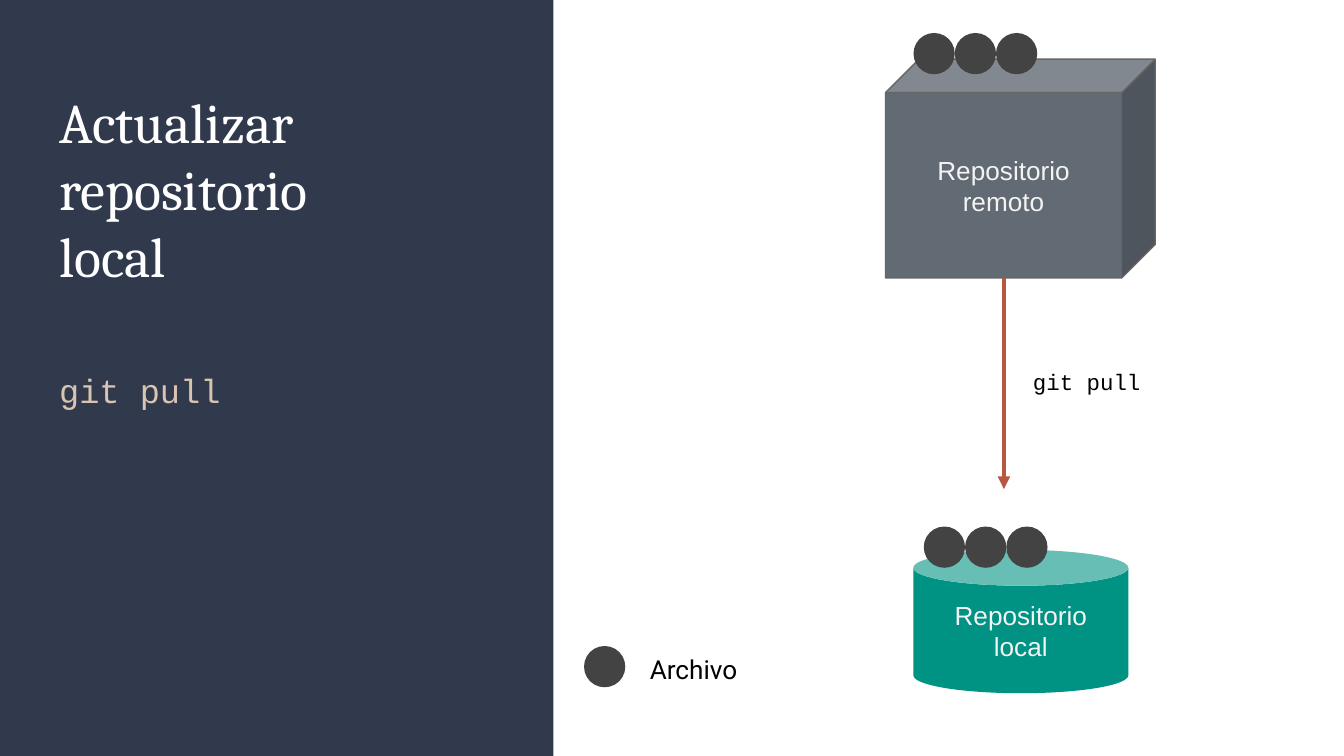
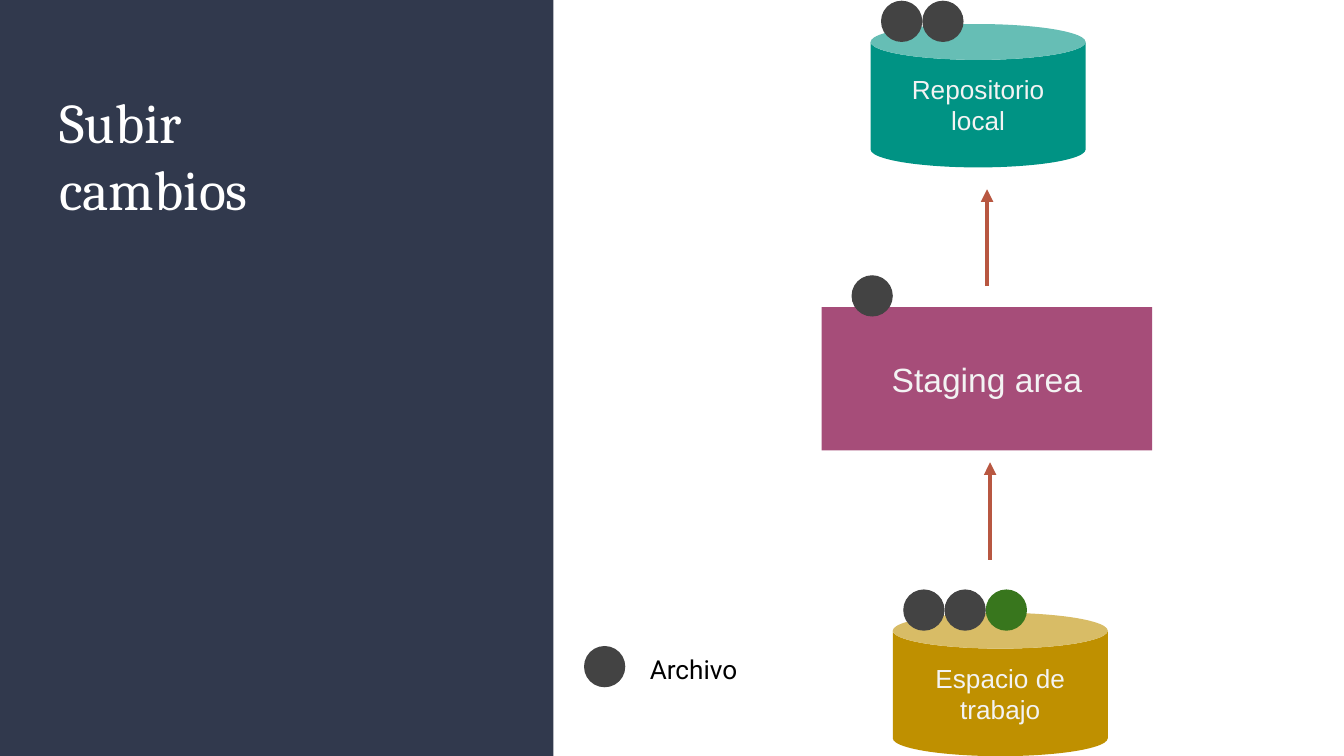
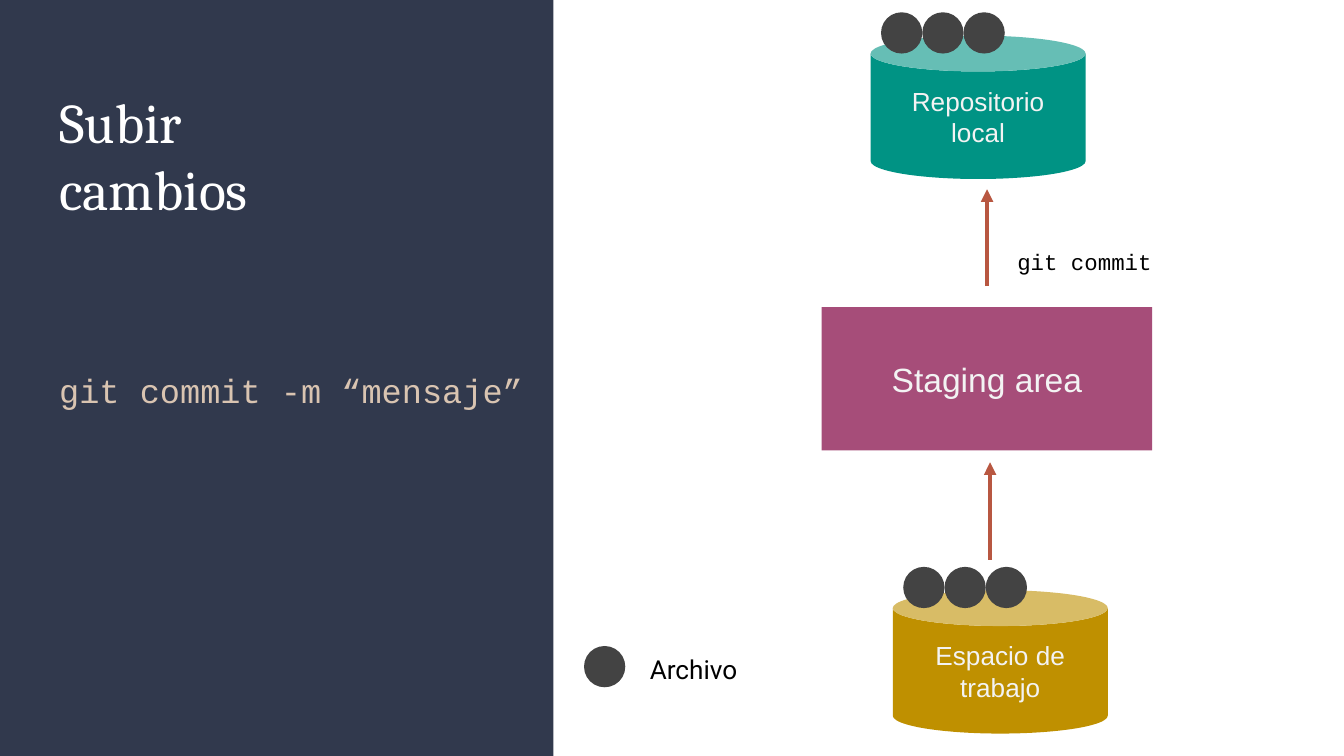
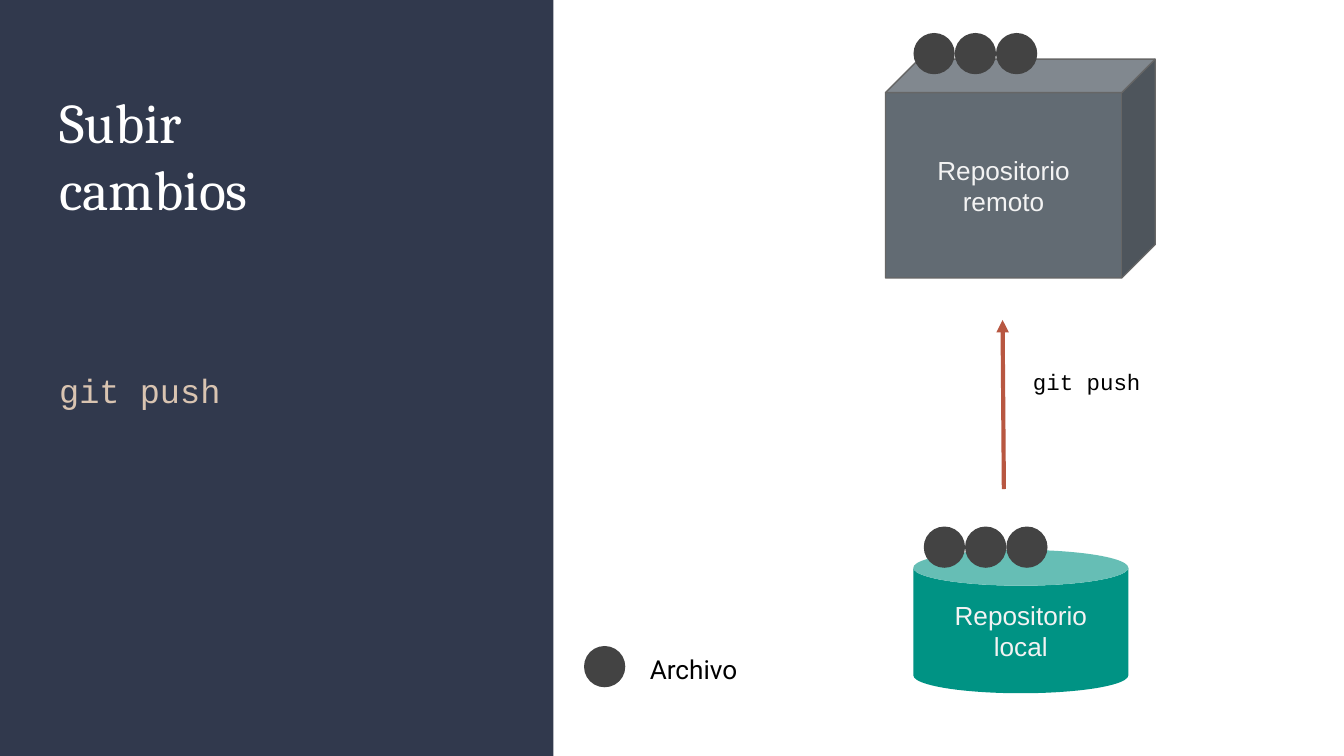
from dataclasses import dataclass
from typing import NamedTuple

from pptx import Presentation
from pptx.dml.color import RGBColor
from pptx.enum.shapes import MSO_CONNECTOR as Link, MSO_SHAPE as Form
from pptx.enum.text import MSO_ANCHOR as Anchor, PP_ALIGN as Align
from pptx.oxml.ns import qn
from pptx.util import Pt
from lxml.etree import SubElement

WHITE = RGBColor(0xFF, 0xFF, 0xFF)
BLACK = RGBColor(0x00, 0x00, 0x00)
NAVY = RGBColor(0x31, 0x39, 0x4D)
SAND = RGBColor(0xD9, 0xC4, 0xB1)
PALE = RGBColor(0xF3, 0xF3, 0xF3)
TEAL = RGBColor(0x00, 0x93, 0x84)
SLATE = RGBColor(0x62, 0x6B, 0x73)
EDGE = RGBColor(0x66, 0x66, 0x66)
GOLD = RGBColor(0xBF, 0x90, 0x00)
PLUM = RGBColor(0xA6, 0x4D, 0x79)
RUST = RGBColor(0xB8, 0x57, 0x41)
GREY = RGBColor(0x43, 0x43, 0x43)
GREEN = RGBColor(0x38, 0x76, 0x1D)

WIDE, HIGH = 720, 405
BAND = 296.5
INSET = 7.2
DOT = 22.1


class Box(NamedTuple):
    left: float
    top: float
    width: float
    height: float


class Style(NamedTuple):
    font: str
    size: float
    color: RGBColor
    after: float = 0
    space: float = 1.0
    anchor: Anchor = Anchor.TOP
    align: Align = Align.LEFT


class Arrow(NamedTuple):
    x1: float
    y1: float
    x2: float
    y2: float


class Note(NamedTuple):
    text: str
    box: Box
    style: Style


@dataclass(frozen=True)
class Kind:
    form: Form
    text: str
    width: float
    height: float
    fill: RGBColor
    dot_x: float
    dot_y: float
    size: float = 14
    bend: float | None = None
    edge: RGBColor | None = None


@dataclass(frozen=True)
class Node:
    kind: Kind
    left: float
    top: float
    dots: tuple[RGBColor, ...] = ()


@dataclass(frozen=True)
class Page:
    title: str
    nodes: tuple[Node, ...]
    arrows: tuple[Arrow, ...]
    notes: tuple[Note, ...] = ()


TITLE = Style("Cambria", 30, WHITE)
ORDER = Style("Courier New", 18, SAND, 16, 1.15)
CODE = Style("Courier New", 12, BLACK, 16, 1.15)
MID = CODE._replace(space=1.0, anchor=Anchor.MIDDLE)
KEY = Style("Roboto", 14, BLACK)

TITLE_BOX = Box(24.6, 39.6, 246, 144)
ORDER_BOX = Box(24.6, 188, 272.5, 44)
SIDE_BOX = Box(546.3, 188, 115.2, 44)
KEY_BOX = Box(341, 342.7, 66.2, 28.8)
KEY_DOT = (312.9, 346.1)

LOCAL = Kind(Form.CAN, "Repositorio local", 115.2, 76.8, TEAL, 5.6, -12.5, bend=0.25)
WORK = Kind(Form.CAN, "Espacio de trabajo", 115.2, 76.8, GOLD, 5.6, -12.5, bend=0.25)
REMOTE = Kind(Form.CUBE, "Repositorio remoto", 144.5, 117.3, SLATE, 15, -14, bend=0.153, edge=EDGE)
STAGE = Kind(Form.RECTANGLE, "Staging area", 177.1, 76.8, PLUM, 16, -17, size=18)

THREE = (GREY,) * 3
REMOTE_NODE = Node(REMOTE, 474.4, 31.7, THREE)
LOCAL_NODE = Node(LOCAL, 489.3, 294.6, THREE)
TO_STAGE = Arrow(530.4, 299.8, 530.4, 247.7)
TO_LOCAL = Arrow(528.8, 153.3, 528.8, 101.4)

PAGES = (
    Page(
        "Actualizar repositorio\nlocal",
        (LOCAL_NODE, REMOTE_NODE),
        (Arrow(537.8, 149, 537.8, 262),),
        (Note("git pull", ORDER_BOX, ORDER), Note("git pull", SIDE_BOX, CODE)),
    ),
    Page(
        "Subir\ncambios",
        (
            Node(WORK, 478.3, 328.3, (GREY, GREY, GREEN)),
            Node(STAGE, 440.2, 164.5, (GREY,)),
            Node(LOCAL, 466.4, 12.9, (GREY, GREY)),
        ),
        (TO_STAGE, TO_LOCAL),
    ),
    Page(
        "Subir\ncambios",
        (
            Node(WORK, 478.3, 316.2, THREE),
            Node(STAGE, 440.2, 164.5),
            Node(LOCAL, 466.4, 19.1, THREE),
        ),
        (TO_STAGE, TO_LOCAL),
        (
            Note("git commit -m “mensaje”", ORDER_BOX, ORDER),
            Note("git commit", Box(537.9, 101.5, 115.2, 76.8), MID),
        ),
    ),
    Page(
        "Subir\ncambios",
        (LOCAL_NODE, REMOTE_NODE),
        (Arrow(537.8, 262, 537.1, 171.4),),
        (Note("git push", ORDER_BOX, ORDER), Note("git push", SIDE_BOX, CODE)),
    ),
)


def write(shape, text: str, style: Style) -> None:
    frame = shape.text_frame
    frame.word_wrap = True
    frame.vertical_anchor = style.anchor
    frame.margin_left = frame.margin_right = Pt(INSET)
    frame.margin_top = frame.margin_bottom = Pt(INSET)
    frame.text = text
    for para in frame.paragraphs:
        para.alignment = style.align
        para.line_spacing = style.space
        para.space_after = Pt(style.after)
        for run in para.runs:
            run.font.name = style.font
            run.font.size = Pt(style.size)
            run.font.color.rgb = style.color


def add_form(slide, form: Form, box: Box, fill: RGBColor, edge: RGBColor | None = None):
    shape = slide.shapes.add_shape(form, *map(Pt, box))
    shape.shadow.inherit = False
    shape.fill.solid()
    shape.fill.fore_color.rgb = fill
    if edge is None:
        shape.line.fill.background()
    else:
        shape.line.color.rgb = edge
        shape.line.width = Pt(0.75)
    return shape


def add_note(slide, note: Note) -> None:
    write(slide.shapes.add_textbox(*map(Pt, note.box)), note.text, note.style)


def add_dot(slide, left: float, top: float, fill: RGBColor = GREY) -> None:
    add_form(slide, Form.OVAL, Box(left, top, DOT, DOT), fill)


def add_node(slide, node: Node) -> None:
    kind = node.kind
    box = Box(node.left, node.top, kind.width, kind.height)
    shape = add_form(slide, kind.form, box, kind.fill, kind.edge)
    if kind.bend is not None:
        shape.adjustments[0] = kind.bend
    write(shape, kind.text, Style("Arial", kind.size, PALE, anchor=Anchor.MIDDLE, align=Align.CENTER))
    for step, fill in enumerate(node.dots):
        add_dot(slide, node.left + kind.dot_x + step * DOT, node.top + kind.dot_y, fill)


def add_arrow(slide, arrow: Arrow) -> None:
    link = slide.shapes.add_connector(Link.STRAIGHT, *map(Pt, arrow))
    link.line.color.rgb = RUST
    link.line.width = Pt(2.25)
    props = link.element.find(qn("p:spPr"))
    SubElement(props.find(qn("a:ln")), qn("a:tailEnd"), type="triangle")
    SubElement(props, qn("a:effectLst"))


def add_page(deck, page: Page) -> None:
    slide = deck.slides.add_slide(deck.slide_layouts[6])
    add_form(slide, Form.RECTANGLE, Box(0, 0, BAND, HIGH), NAVY)
    add_note(slide, Note(page.title, TITLE_BOX, TITLE))
    for node in page.nodes:
        add_node(slide, node)
    for arrow in page.arrows:
        add_arrow(slide, arrow)
    for note in page.notes:
        add_note(slide, note)
    add_dot(slide, *KEY_DOT)
    add_note(slide, Note("Archivo", KEY_BOX, KEY))


def main() -> None:
    deck = Presentation()
    deck.slide_width, deck.slide_height = Pt(WIDE), Pt(HIGH)
    for page in PAGES:
        add_page(deck, page)
    deck.save("out.pptx")


if __name__ == "__main__":
    main()
